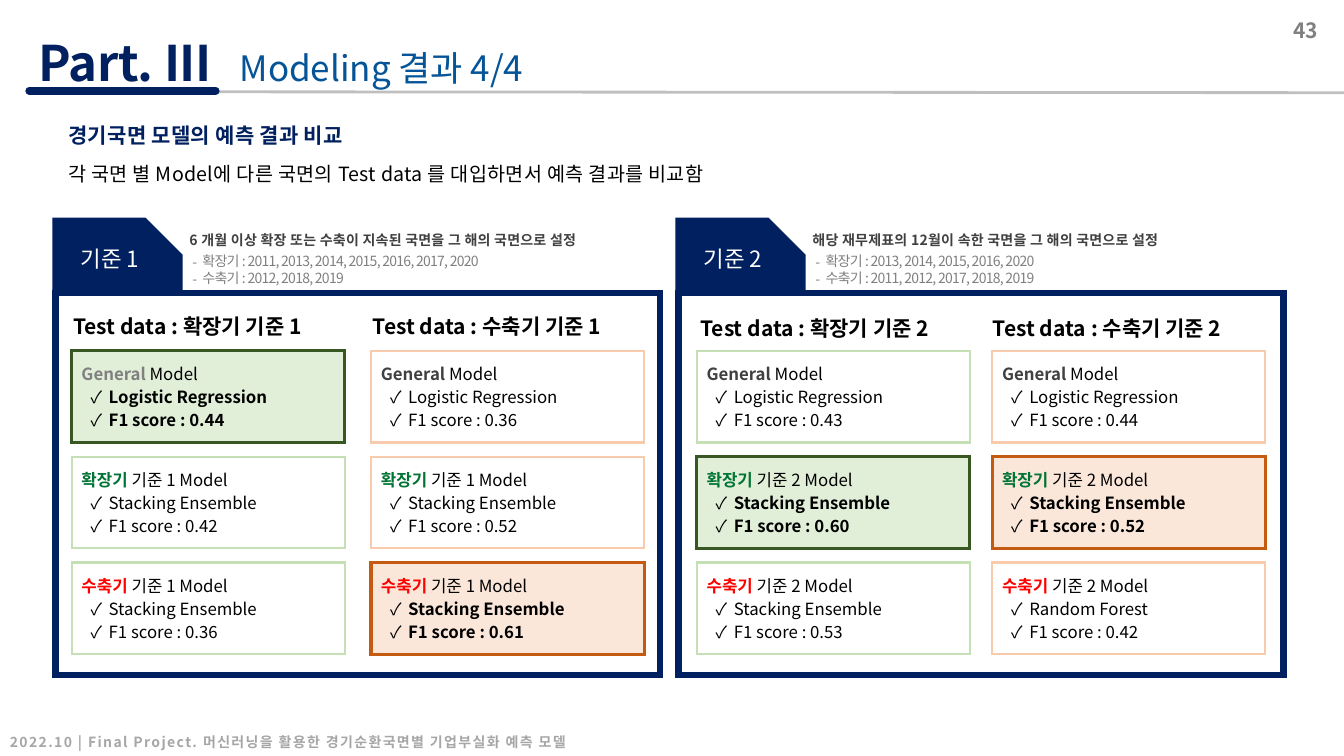
from lxml import etree
from pptx import Presentation
from pptx.dml.color import RGBColor
from pptx.enum.shapes import MSO_CONNECTOR, MSO_SHAPE
from pptx.enum.text import MSO_ANCHOR, PP_ALIGN
from pptx.oxml.ns import qn
from pptx.util import Inches, Pt

RECTANGLE, SNIPPED = MSO_SHAPE.RECTANGLE, MSO_SHAPE.SNIP_1_RECTANGLE
STRAIGHT = MSO_CONNECTOR.STRAIGHT
TOP, MIDDLE, BOTTOM = MSO_ANCHOR.TOP, MSO_ANCHOR.MIDDLE, MSO_ANCHOR.BOTTOM
LEFT, RIGHT = PP_ALIGN.LEFT, PP_ALIGN.RIGHT

NAVY = RGBColor(0x00, 0x20, 0x60)
BLUE = RGBColor(0x04, 0x54, 0x97)
BLACK = RGBColor(0x00, 0x00, 0x00)
WHITE = RGBColor(0xFF, 0xFF, 0xFF)
DARK_GRAY = RGBColor(0x40, 0x40, 0x40)
GRAY = RGBColor(0x80, 0x80, 0x80)
LIGHT_GRAY = RGBColor(0xA6, 0xA6, 0xA6)
RULE_GRAY = RGBColor(0xBF, 0xBF, 0xBF)
GREEN = RGBColor(0x00, 0x74, 0x34)
RED = RGBColor(0xFF, 0x00, 0x00)
PALE_GREEN = RGBColor(0xC5, 0xE0, 0xB4)
DEEP_GREEN = RGBColor(0x38, 0x57, 0x23)
PALE_ORANGE = RGBColor(0xF8, 0xCB, 0xAD)
MID_ORANGE = RGBColor(0xF4, 0xB1, 0x83)
DEEP_ORANGE = RGBColor(0xC5, 0x5A, 0x11)

SANS = "Noto Sans CJK KR"

# Phase: plain outline, best outline, best fill, fill opacity in percent
PHASES = {
    "확장기": (PALE_GREEN, DEEP_GREEN, PALE_GREEN, 50),
    "수축기": (PALE_ORANGE, DEEP_ORANGE, MID_ORANGE, 30),
}
MODEL_COLORS = {"General": DARK_GRAY, "확장기": GREEN, "수축기": RED}
LOGISTIC, STACKING, FOREST = "Logistic Regression", "Stacking Ensemble", "Random Forest"

# Columns: test phase, card left, heading left, best row, (method, F1 score) by model
CRITERIA = [
    {"name": "기준 1", "left": 0.55, "heading_top": 3.02,
     "rule": "6 개월 이상 확장 또는 수축이 지속된 국면을 그 해의 국면으로 설정",
     "years": ["확장기 : 2011, 2013, 2014, 2015, 2016, 2017, 2020",
               "수축기 : 2012, 2018, 2019"],
     "columns": [
         ("확장기", 0.71, 0.63, 0,
          [(LOGISTIC, "0.44"), (STACKING, "0.42"), (STACKING, "0.36")]),
         ("수축기", 3.68, 3.6, 2,
          [(LOGISTIC, "0.36"), (STACKING, "0.52"), (STACKING, "0.61")])]},
    {"name": "기준 2", "left": 6.73, "heading_top": 3.04,
     "rule": "해당 재무제표의 12월이 속한 국면을 그 해의 국면으로 설정",
     "years": ["확장기 : 2013, 2014, 2015, 2016, 2020",
               "수축기 : 2011, 2012, 2017, 2018, 2019"],
     "columns": [
         ("확장기", 6.91, 6.85, 1,
          [(LOGISTIC, "0.43"), (STACKING, "0.60"), (STACKING, "0.53")]),
         ("수축기", 9.84, 9.75, 1,
          [(LOGISTIC, "0.44"), (STACKING, "0.52"), (FOREST, "0.42")])]},
]
CARD_TOP, CARD_STEP, CARD_WIDTH, CARD_HEIGHT = 3.48, 1.05, 2.71, 0.91


def span(text, size, color, bold=False, spacing=0):
    return text, {"size": Pt(size), "bold": bold, "name": SANS}, color, spacing


def line(*spans, after=0, bullet=None, margin=0, hang=0, align=LEFT):
    """Describe one paragraph; margin and hang are in inches."""
    return spans, {"space_after": Pt(after), "alignment": align}, bullet, margin, hang


def write(shape, lines, anchor=TOP, insets=(0.1, 0.05, 0.1, 0.05)):
    frame = shape.text_frame
    frame.word_wrap = True
    frame.vertical_anchor = anchor
    sides = ("margin_left", "margin_top", "margin_right", "margin_bottom")
    for side, inset in zip(sides, insets):
        setattr(frame, side, Inches(inset))
    for index, (spans, layout, bullet, margin, hang) in enumerate(lines):
        para = frame.add_paragraph() if index else frame.paragraphs[0]
        for key, value in layout.items():
            setattr(para, key, value)
        if bullet:
            properties = para._p.get_or_add_pPr()
            properties.set("marL", str(Inches(margin)))
            properties.set("indent", str(Inches(-hang)))
            etree.SubElement(properties, qn("a:buFont")).set("typeface", SANS)
            etree.SubElement(properties, qn("a:buChar")).set("char", bullet)
        for text, style, color, spacing in spans:
            run = para.add_run()
            run.text = text
            for key, value in style.items():
                setattr(run.font, key, value)
            run.font.color.rgb = color
            properties = run._r.get_or_add_rPr()
            if spacing:
                properties.set("spc", str(round(spacing * 100)))
            etree.SubElement(properties, qn("a:ea")).set("typeface", SANS)


def add_text(page, place, lines, **options):
    write(page.shapes.add_textbox(*map(Inches, place)), lines, **options)


def add_box(page, kind, place, outline, width, fill=None, opacity=100):
    box = page.shapes.add_shape(kind, *map(Inches, place))
    box.shadow.inherit = False
    box.line.color.rgb = outline
    box.line.width = Pt(width)
    etree.SubElement(box.line._get_or_add_ln(), qn("a:miter")).set("lim", "800000")
    if fill is None:
        box.fill.background()
    else:
        box.fill.solid()
        box.fill.fore_color.rgb = fill
        if opacity < 100:
            color = box._element.spPr.find(qn("a:solidFill"))[0]
            etree.SubElement(color, qn("a:alpha")).set("val", str(opacity * 1000))
    return box


def add_rule(page, ends, color, width, cap):
    rule = page.shapes.add_connector(STRAIGHT, *map(Inches, ends))
    rule.line.color.rgb = color
    rule.line.width = Pt(width)
    rule.line._get_or_add_ln().set("cap", cap)
    etree.SubElement(rule._element.spPr, qn("a:effectLst"))


def add_card(page, left, row, phase, model, criterion, result, best):
    plain_outline, best_outline, fill, opacity = PHASES[phase]
    place = (left, CARD_TOP + row * CARD_STEP, CARD_WIDTH, CARD_HEIGHT)
    if best:
        card = add_box(page, RECTANGLE, place, best_outline, 2.25, fill, opacity)
    else:
        card = add_box(page, RECTANGLE, place, plain_outline, 1.5)
    general = model == "General"
    color = GRAY if general and best else MODEL_COLORS[model]
    title = " Model" if general else f" {criterion} Model"
    method, score = result
    lines = [line(span(model, 12, color, True), span(title, 12, BLACK), after=2)]
    lines += [line(span(text, 12, BLACK, best), after=2, bullet="✓", margin=0.27, hang=0.18)
              for text in (method, f"F1 score : {score}")]
    write(card, lines, anchor=MIDDLE)


def add_criterion(page, criterion):
    left, name = criterion["left"], criterion["name"]
    add_box(page, RECTANGLE, (left, 2.91, 6, 3.79), NAVY, 4.5)
    tab = add_box(page, SNIPPED, (left, 2.19, 1.23, 0.7), NAVY, 4.5, NAVY)
    tab.adjustments[0] = 0.5
    write(tab, [line(span(name, 16, WHITE))], anchor=MIDDLE, insets=(0.25, 0.04, 0.04, 0.16))
    notes = [line(span(criterion["rule"], 10, DARK_GRAY, True, 0.2), after=3)]
    notes += [line(span(years, 10, GRAY, spacing=-0.5), bullet="-", margin=0.13, hang=0.1)
              for years in criterion["years"]]
    add_text(page, (left + 1.23, 2.25, 4.79, 0.65), notes)
    for phase, card_left, heading_left, best_row, results in criterion["columns"]:
        heading = f"Test data : {phase} {name}"
        add_text(page, (heading_left, criterion["heading_top"], 2.87, 0.43),
                 [line(span(heading, 15, BLACK, True))], anchor=MIDDLE)
        for row, (model, result) in enumerate(zip(MODEL_COLORS, results)):
            add_card(page, card_left, row, phase, model, name, result, row == best_row)


def main():
    deck = Presentation()
    deck.slide_width, deck.slide_height = Inches(13.33), Inches(7.5)
    page = deck.slides.add_slide(deck.slide_layouts[6])

    add_text(page, (0.38, 0.32, 2.31, 0.59),
             [line(span("Part. III", 35, NAVY, True, -0.3))], insets=(0, 0, 0, 0))
    add_rule(page, (1.1, 0.91, 13.33, 0.92), RULE_GRAY, 2, "flat")
    add_rule(page, (0.29, 0.9, 2.14, 0.9), NAVY, 5.5, "rnd")
    add_text(page, (2.28, 0.36, 6.73, 0.57),
             [line(span("Modeling 결과 4/4", 25, BLUE))], anchor=BOTTOM)
    add_text(page, (10.17, 0.12, 3, 0.4), [line(span("43", 15, GRAY, True), align=RIGHT)])
    add_text(page, (0.58, 1.17, 10.57, 0.73), [
        line(span("경기국면 모델의 예측 결과 비교", 15, NAVY, True, 0.2), after=10),
        line(span("각 국면 별 Model에 다른 국면의 Test data 를 대입하면서 예측 결과를 비교함",
                  14, BLACK, spacing=0.2), after=10)])

    for criterion in CRITERIA:
        add_criterion(page, criterion)

    footer = "2022.10 | Final Project. 머신러닝을 활용한 경기순환국면별 기업부실화 예측 모델"
    add_text(page, (0, 7.18, 11.04, 0.31),
             [line(span(footer, 10, LIGHT_GRAY, True, 1))], anchor=BOTTOM)
    deck.save("out.pptx")


if __name__ == "__main__":
    main()
